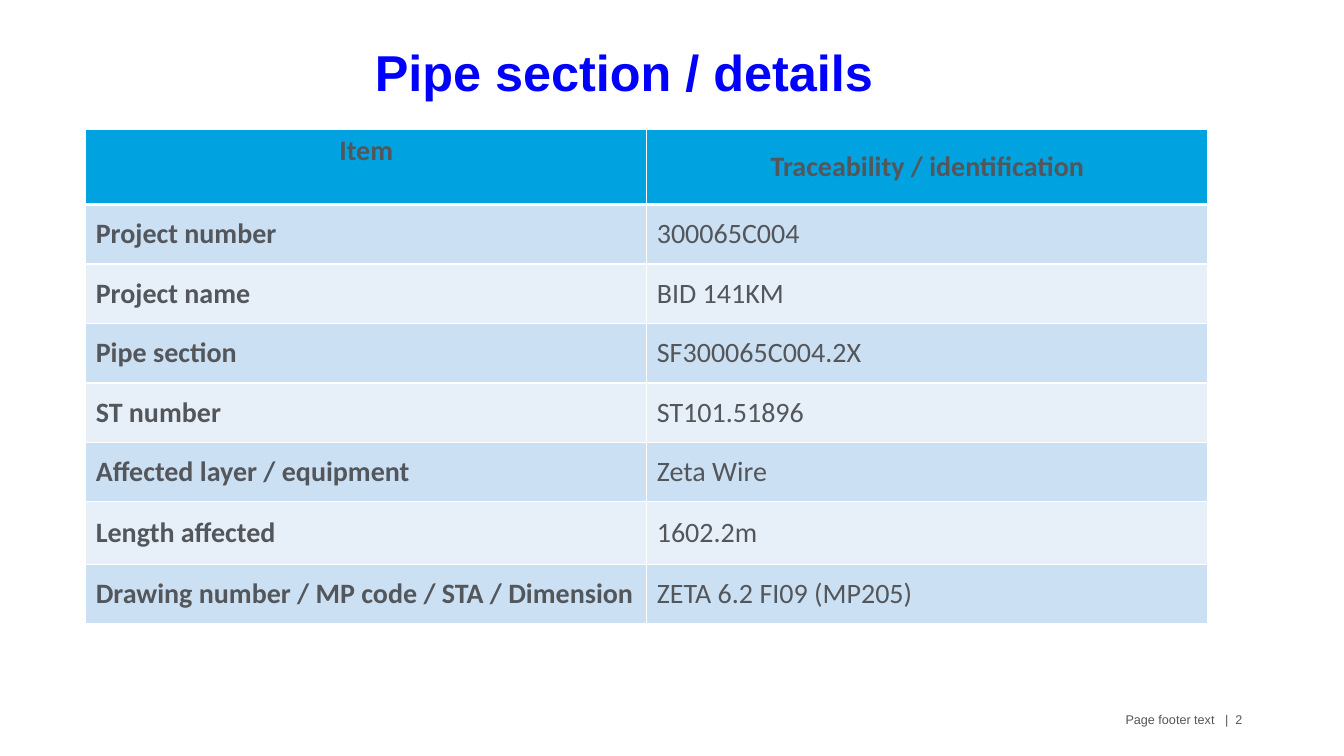
from lxml import etree
from pptx import Presentation
from pptx.dml.color import RGBColor
from pptx.enum import text
from pptx.oxml.ns import qn
from pptx.util import Inches, Pt

BLUE = RGBColor(0x00, 0x00, 0xFF)
GREY = RGBColor(0x53, 0x56, 0x5A)
HEADER = RGBColor(0x00, 0xA3, 0xE0)
BANDS = (RGBColor(0xCC, 0xE0, 0xF3), RGBColor(0xE7, 0xF0, 0xF9))
WHITE = RGBColor(0xFF, 0xFF, 0xFF)

HEADINGS = ("Item", "Traceability / identification")
DETAILS = (
    ("Project number", "300065C004"),
    ("Project name", "BID 141KM"),
    ("Pipe section", "SF300065C004.2X"),
    ("ST number", "ST101.51896"),
    ("Affected layer / equipment", "Zeta Wire"),
    ("Length affected", "1602.2m"),
    ("Drawing number / MP code / STA / Dimension", "ZETA 6.2 FI09 (MP205)"),
)
ROW_HEIGHTS = (0.75, 0.59, 0.59, 0.59, 0.59, 0.59, 0.62, 0.59)
COLUMN_WIDTH = 5.565


def write(tf, words, size, font, color, bold=False, align=text.PP_ALIGN.LEFT):
    p = tf.paragraphs[0]
    p.alignment = align
    r = p.add_run()
    r.text = words
    r.font.size = Pt(size)
    r.font.name = font
    r.font.bold = bold
    r.font.color.rgb = color


def add_title(slide, words):
    sp = slide.shapes.title
    sp.left, sp.top = Inches(2.82), Inches(0.48)
    sp.width, sp.height = Inches(6.74), Inches(0.45)
    tf = sp.text_frame
    tf.auto_size = text.MSO_AUTO_SIZE.NONE
    tf.vertical_anchor = text.MSO_ANCHOR.MIDDLE
    write(tf, words, 36, "Arial", BLUE, True, text.PP_ALIGN.CENTER)


def add_footer(slide, words):
    sp = slide.shapes.add_textbox(Inches(9.12), Inches(7.01), Inches(3.3), Inches(0.4))
    sp.text_frame.word_wrap = True
    write(sp.text_frame, words, 9, "Arial", GREY, align=text.PP_ALIGN.RIGHT)


def set_border(cell, side, points):
    ln = etree.SubElement(cell._tc.get_or_add_tcPr(), qn(f"a:ln{side}"), w=str(Pt(points)))
    fill = etree.SubElement(ln, qn("a:solidFill"))
    etree.SubElement(fill, qn("a:srgbClr"), val=str(WHITE))


def fill_cell(cell, words, row, column):
    header = row == 0
    # The rule under the header is shared with the row below it.
    widths = {"L": 1, "R": 1, "T": 3 if row == 1 else 1, "B": 3 if header else 1}
    for side, points in widths.items():
        set_border(cell, side, points)
    cell.fill.solid()
    cell.fill.fore_color.rgb = HEADER if header else BANDS[(row - 1) % 2]
    top = header and column == 0
    cell.vertical_anchor = text.MSO_ANCHOR.TOP if top else text.MSO_ANCHOR.MIDDLE
    align = text.PP_ALIGN.CENTER if header else text.PP_ALIGN.LEFT
    write(cell.text_frame, words, 20, "Calibri", GREY, header or column == 0, align)


def add_details_table(slide):
    rows = (HEADINGS, *DETAILS)
    table = slide.shapes.add_table(
        len(rows), len(HEADINGS), Inches(0.85), Inches(1.28),
        Inches(COLUMN_WIDTH * len(HEADINGS)), Inches(sum(ROW_HEIGHTS))).table
    for column in table.columns:
        column.width = Inches(COLUMN_WIDTH)
    for i, (height, row) in enumerate(zip(ROW_HEIGHTS, rows)):
        table.rows[i].height = Inches(height)
        for j, words in enumerate(row):
            fill_cell(table.cell(i, j), words, i, j)


def main():
    prs = Presentation()
    prs.slide_width, prs.slide_height = Inches(13.33), Inches(7.5)
    slide = prs.slides.add_slide(prs.slide_layouts.get_by_name("Title Only"))
    add_footer(slide, "Page footer text   |  2")
    add_title(slide, "Pipe section / details")
    add_details_table(slide)
    prs.save("out.pptx")


if __name__ == "__main__":
    main()
